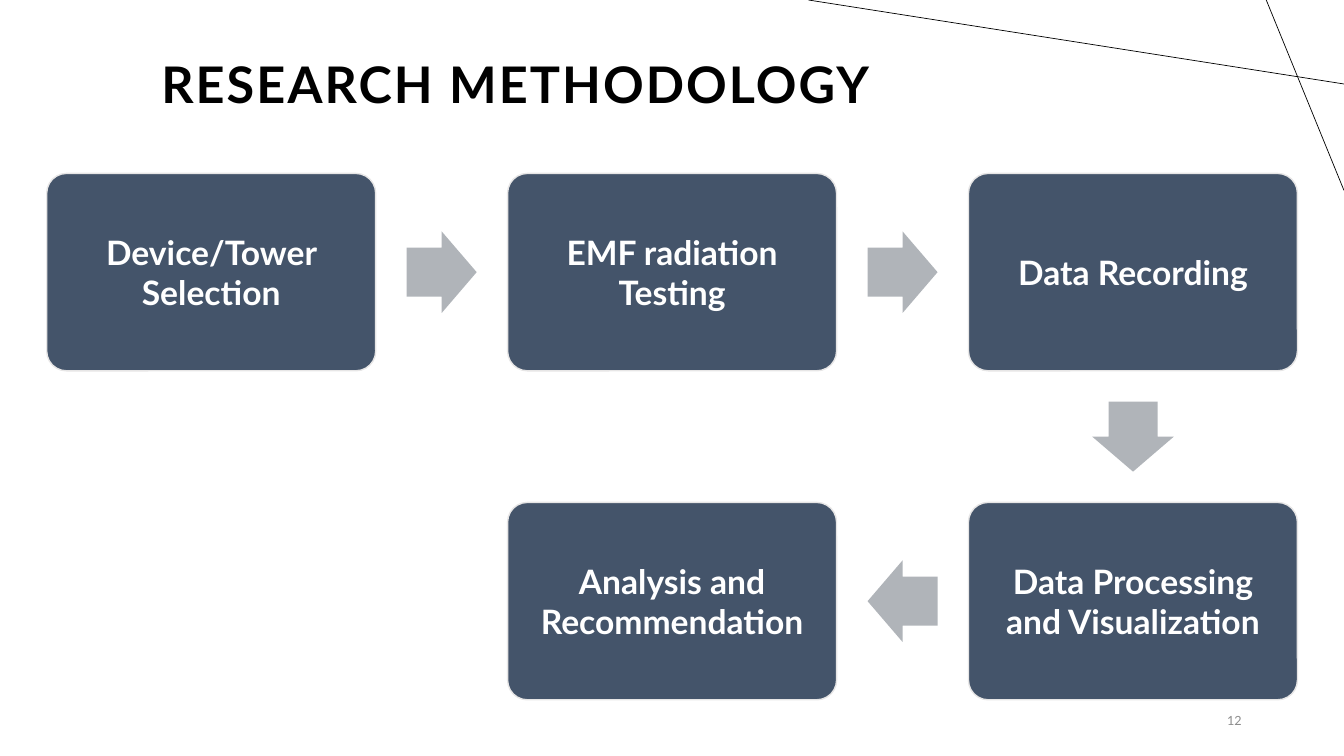
import math

from lxml import etree
from pptx import Presentation
from pptx.dml.color import RGBColor
from pptx.enum import shapes, text
from pptx.oxml import ns
from pptx.util import Pt

# Content
TITLE = "RESEARCH METHODOLOGY"
PAGE_NUMBER = "12"
# Steps in flow order: label, column, row
STEPS = [
    ("Device/Tower Selection", 0, 0),
    ("EMF radiation Testing", 1, 0),
    ("Data Recording", 2, 0),
    ("Data Processing and Visualization", 2, 1),
    ("Analysis and Recommendation", 1, 1),
]
# Corner lines: start x, start y, end x, end y
CORNER_LINES = [(960, 60, 577.5, 0), (904.5, 0, 960, 136)]

THEME = {
    "font": "Lato",
    "title": RGBColor(0x00, 0x00, 0x00),
    "box": RGBColor(0x44, 0x54, 0x6A),
    "box_line": RGBColor(0xE7, 0xE6, 0xE6),
    "box_text": RGBColor(0xFF, 0xFF, 0xFF),
    "arrow": RGBColor(0xB0, 0xB4, 0xB9),
    "number": RGBColor(0x8C, 0x8C, 0x8C),
    "title_size": 36,
    "box_size": 24,
    "number_size": 9,
}

# Layout in points
SLIDE_WIDTH, SLIDE_HEIGHT = 960, 540
GRID_LEFT, GRID_TOP = 33.4, 123.9
COLUMN_PITCH, ROW_PITCH = 329.2, 235
BOX_WIDTH, BOX_HEIGHT = 235, 141
ARROW_LENGTH, ARROW_WIDTH = 50, 58.3


def style(paragraph, size, color, alignment, bold=False):
    paragraph.alignment = alignment
    paragraph.font.name = THEME["font"]
    paragraph.font.size = Pt(THEME[size])
    paragraph.font.color.rgb = THEME[color]
    paragraph.font.bold = bold


def add_centered(slide, kind, center, width, height, fill):
    x, y = center
    shape = slide.shapes.add_shape(
        kind, Pt(x - width / 2), Pt(y - height / 2), Pt(width), Pt(height))
    shape.shadow.inherit = False
    shape.fill.solid()
    shape.fill.fore_color.rgb = THEME[fill]
    return shape


def add_step(slide, label, center):
    box = add_centered(slide, shapes.MSO_SHAPE.ROUNDED_RECTANGLE, center,
                       BOX_WIDTH, BOX_HEIGHT, "box")
    box.adjustments[0] = 0.1
    box.line.color.rgb = THEME["box_line"]
    box.line.width = Pt(1)
    frame = box.text_frame
    frame.word_wrap = True
    frame.vertical_anchor = text.MSO_ANCHOR.MIDDLE
    frame.margin_left = frame.margin_right = Pt(7.2)
    frame.text = label
    style(frame.paragraphs[0], "box_size", "box_text", text.PP_ALIGN.CENTER, True)


def add_arrow(slide, start, end):
    middle = ((start[0] + end[0]) / 2, (start[1] + end[1]) / 2)
    arrow = add_centered(slide, shapes.MSO_SHAPE.RIGHT_ARROW, middle,
                         ARROW_LENGTH, ARROW_WIDTH, "arrow")
    arrow.adjustments[0] = 0.6
    arrow.adjustments[1] = 0.5
    arrow.line.fill.background()
    arrow.rotation = math.degrees(math.atan2(end[1] - start[1], end[0] - start[0]))


def main():
    presentation = Presentation()
    presentation.slide_width = Pt(SLIDE_WIDTH)
    presentation.slide_height = Pt(SLIDE_HEIGHT)
    slide = presentation.slides.add_slide(presentation.slide_layouts[5])

    # Corner lines
    for ends in CORNER_LINES:
        line = slide.shapes.add_connector(
            shapes.MSO_CONNECTOR.STRAIGHT, *[Pt(value) for value in ends])
        line.line.color.rgb = THEME["title"]
        line.line.width = Pt(0.5)
        etree.SubElement(line._element.spPr, ns.qn("a:effectLst"))

    # Title
    title = slide.shapes.title
    title.left, title.top, title.width, title.height = Pt(108), Pt(41), Pt(663), Pt(42)
    title.text_frame.text = TITLE
    title.text_frame.vertical_anchor = text.MSO_ANCHOR.MIDDLE
    heading = title.text_frame.paragraphs[0]
    heading.line_spacing = 0.9
    style(heading, "title_size", "title", text.PP_ALIGN.LEFT, True)
    heading.runs[0].font._element.set("spc", "150")

    # Steps, with an arrow from each to the next
    centers = [(GRID_LEFT + column * COLUMN_PITCH + BOX_WIDTH / 2,
                GRID_TOP + row * ROW_PITCH + BOX_HEIGHT / 2)
               for _, column, row in STEPS]
    for (label, _, _), center in zip(STEPS, centers):
        add_step(slide, label, center)
    for start, end in zip(centers, centers[1:]):
        add_arrow(slide, start, end)

    # Page number
    number = slide.shapes.add_textbox(Pt(678), Pt(500.5), Pt(216), Pt(28.8))
    number.text_frame.word_wrap = True
    number.text_frame.vertical_anchor = text.MSO_ANCHOR.MIDDLE
    number.text_frame.text = PAGE_NUMBER
    style(number.text_frame.paragraphs[0], "number_size", "number", text.PP_ALIGN.RIGHT)

    presentation.save("out.pptx")


if __name__ == "__main__":
    main()
